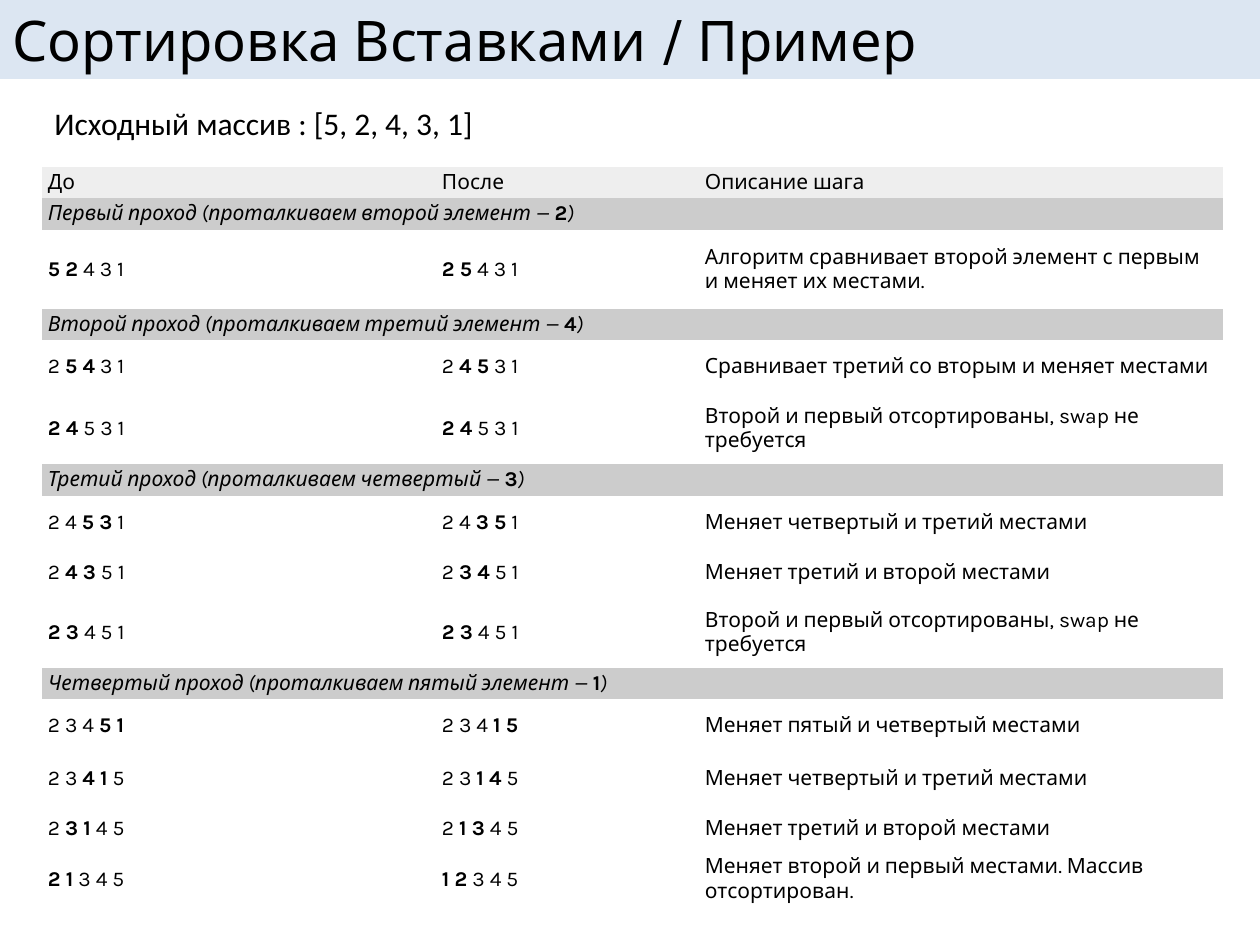
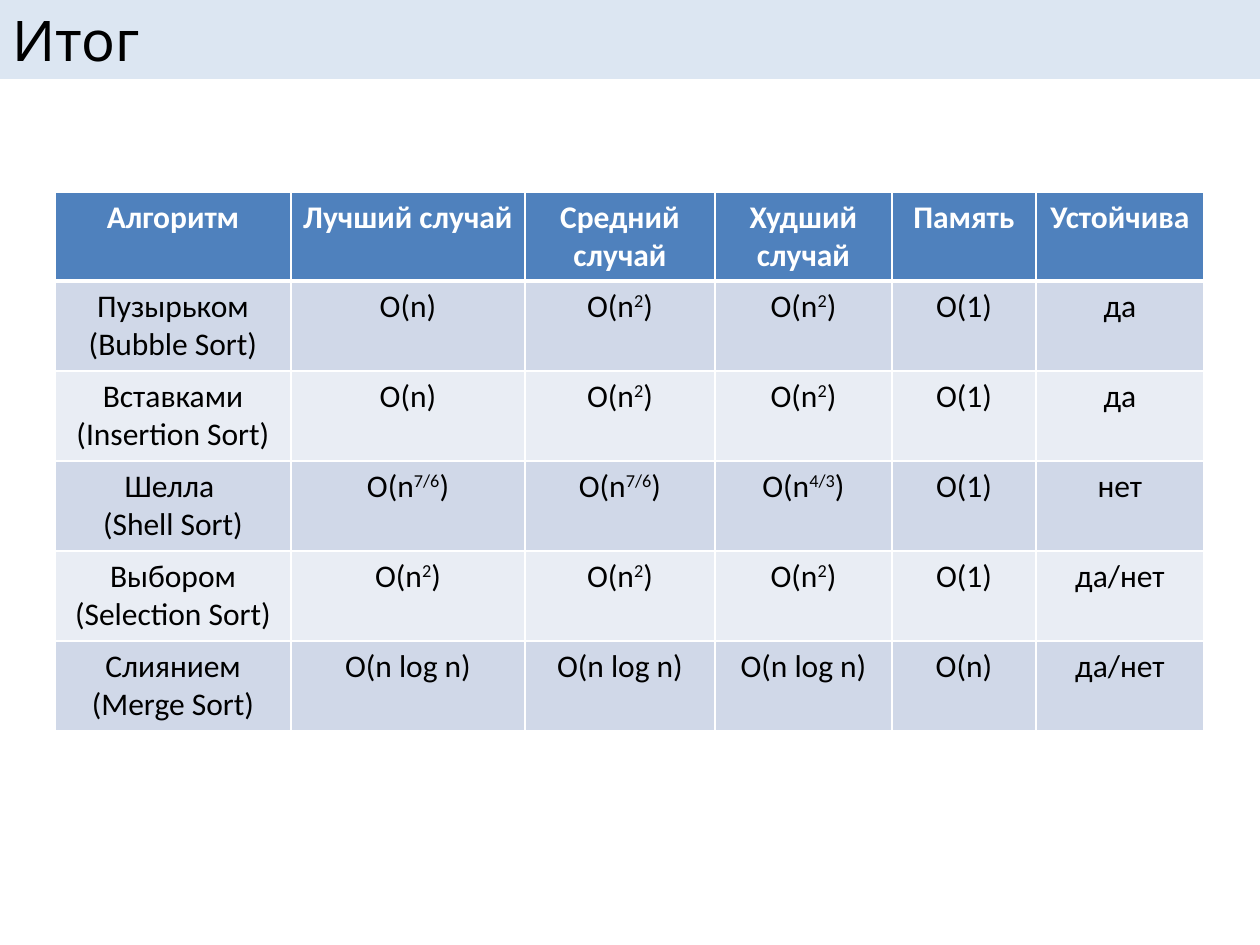
from dataclasses import dataclass

from lxml import etree
from pptx import Presentation
from pptx.dml.color import RGBColor
from pptx.enum.shapes import MSO_SHAPE
from pptx.enum.text import MSO_ANCHOR, PP_ALIGN
from pptx.oxml.ns import qn
from pptx.util import Emu, Pt

RECT = MSO_SHAPE.RECTANGLE
LEFT, CENTER = PP_ALIGN.LEFT, PP_ALIGN.CENTER
TOP, MIDDLE = MSO_ANCHOR.TOP, MSO_ANCHOR.MIDDLE
SCALE = 914400 // 126
WIDE, HIGH = 1260, 945
PLAIN = "{2D5ABB26-0587-4C30-8999-92F81FD0307C}"
GAP = "\u00a0"


@dataclass(frozen=True)
class Theme:
    ink: str = "000000"
    white: str = "FFFFFF"
    band: str = "DCE6F2"
    head: str = "EEEEEE"
    group: str = "CCCCCC"
    blue: str = "4F81BD"
    odd: str = "D0D8E8"
    even: str = "E9EDF4"
    karla: str = "Karla"
    body: str = "Calibri"
    title: int = 32
    text: int = 18
    small: int = 12


THEME = Theme()

PASSES = [
    ("Первый проход (проталкиваем второй элемент —", "2", 32, [
        ("5 2 4 3 1", "2 5 4 3 1", 0, 79,
         "Алгоритм сравнивает второй элемент с первым и меняет их местами."),
    ]),
    ("Второй проход (проталкиваем третий элемент —", "4", 31, [
        ("2 5 4 3 1", "2 4 5 3 1", 1, 53, "Сравнивает третий со вторым и меняет местами"),
        ("2 4 5 3 1", "2 4 5 3 1", 0, 71, "Второй и первый отсортированы, swap не требуется"),
    ]),
    ("Третий проход (проталкиваем четвертый —", "3", 32, [
        ("2 4 5 3 1", "2 4 3 5 1", 2, 53, "Меняет четвертый и третий местами"),
        ("2 4 3 5 1", "2 3 4 5 1", 1, 48, "Меняет третий и второй местами"),
        ("2 3 4 5 1", "2 3 4 5 1", 0, 71, "Второй и первый отсортированы, swap не требуется"),
    ]),
    ("Четвертый проход (проталкиваем пятый элемент —", "1", 31, [
        ("2 3 4 5 1", "2 3 4 1 5", 3, 53, "Меняет пятый и четвертый местами"),
        ("2 3 4 1 5", "2 3 1 4 5", 2, 53, "Меняет четвертый и третий местами"),
        ("2 3 1 4 5", "2 1 3 4 5", 1, 48, "Меняет третий и второй местами"),
        ("2 1 3 4 5", "1 2 3 4 5", 0, 53,
         "Меняет второй и первый местами. Массив отсортирован."),
    ]),
]

HEADS = ["Алгоритм", "Лучший случай", "Средний случай", "Худший случай",
         "Память", "Устойчива"]
SORTS = [
    ("Пузырьком (Bubble Sort)", "O(n)", "O(n^2)", "O(n^2)", "O(1)", "да"),
    ("Вставками (Insertion Sort)", "O(n)", "O(n^2)", "O(n^2)", "O(1)", "да"),
    ("Шелла \n(Shell Sort)", "O(n^7/6)", "O(n^7/6)", "O(n^4/3)", "O(1)", "нет"),
    ("Выбором (Selection Sort)", "O(n^2)", "O(n^2)", "O(n^2)", "O(1)", "да/нет"),
    ("Слиянием\n(Merge Sort)", "O(n log n)", "O(n log n)", "O(n log n)", "O(n)", "да/нет"),
]


def px(num):
    return Emu(num * SCALE)


def box(*nums):
    return [px(num) for num in nums]


def rgb(code):
    return RGBColor.from_string(code)


def paint(item, code):
    item.fill.solid()
    item.fill.fore_color.rgb = rgb(code)


def write(frame, lines, size, font, color=THEME.ink, align=LEFT):
    for num, line in enumerate(lines):
        para = frame.add_paragraph() if num else frame.paragraphs[0]
        para.alignment = align
        for text, style in line:
            run = para.add_run()
            run.text = text
            run.font.size = Pt(size)
            run.font.name = font
            run.font.color.rgb = rgb(color)
            run.font.bold = style == "bold"
            run.font.italic = style == "italic"
            if style == "super":
                run._r.get_or_add_rPr().set("baseline", "30000")


def add_title(slide, text):
    bar = slide.shapes.add_shape(RECT, *box(0, 0, WIDE, 79))
    bar.shadow.inherit = False
    paint(bar, THEME.band)
    bar.line.fill.background()
    bar.text_frame.vertical_anchor = MIDDLE
    write(bar.text_frame, [[(text, "")]], THEME.title, THEME.karla)


def add_note(slide, text, place):
    note = slide.shapes.add_textbox(*box(*place))
    note.text_frame.word_wrap = False
    write(note.text_frame, [[(text, "")]], THEME.text, THEME.body)


def add_grid(slide, left, top, cols, rows):
    place = box(left, top, sum(cols), sum(rows))
    frame = slide.shapes.add_table(len(rows), len(cols), *place)
    for mark in frame.element.iter(qn("a:tableStyleId")):
        mark.text = PLAIN
    table = frame.table
    table.first_row = table.horz_banding = False
    for col, size in zip(table.columns, cols):
        col.width = px(size)
    for row, size in zip(table.rows, rows):
        row.height = px(size)
    return table


def set_edges(cell, top, bottom):
    props = cell._tc.get_or_add_tcPr()
    sides = {"lnL": 1, "lnR": 1, "lnT": top, "lnB": bottom}
    for num, (side, size) in enumerate(sides.items()):
        line = etree.Element(qn("a:" + side), w=str(Pt(size)))
        solid = etree.SubElement(line, qn("a:solidFill"))
        etree.SubElement(solid, qn("a:srgbClr"), val=THEME.white)
        props.insert(num, line)


def set_step(cell, line, fill, inset):
    cell.vertical_anchor = MIDDLE
    cell.margin_left = cell.margin_right = px(6)
    cell.margin_top = cell.margin_bottom = px(inset)
    paint(cell, fill)
    write(cell.text_frame, [line], THEME.small, THEME.karla)


def pair_runs(text, pos):
    start = 2 * pos
    end = start + 3
    runs = [(text[:start].rstrip() + GAP, "")] if pos else []
    runs.append((text[start:end], "bold"))
    if end < len(text):
        runs.append((GAP + text[end:].lstrip(), ""))
    return runs


def power_runs(text):
    base, mark, power = text.partition("^")
    if not mark:
        return [(text, "")]
    return [(base, ""), (power[:-1], "super"), (power[-1], "")]


def add_steps(slide):
    rows = [31]
    for _, _, band, steps in PASSES:
        rows += [band] + [step[3] for step in steps]
    table = add_grid(slide, 42, 167, [394, 263, 524], rows)
    for col, text in enumerate(["До", "После", "Описание шага"]):
        set_step(table.cell(0, col), [(text, "")], THEME.head, 2)
    row = 1
    for name, item, _, steps in PASSES:
        table.cell(row, 0).merge(table.cell(row, 2))
        line = [(name + GAP, "italic"), (item, "bold"), (")", "italic")]
        set_step(table.cell(row, 0), line, THEME.group, 2)
        for old, new, pos, _, text in steps:
            row += 1
            lines = [pair_runs(old, pos), pair_runs(new, pos), [(text, "")]]
            for col, line in enumerate(lines):
                set_step(table.cell(row, col), line, THEME.white, 1)
        row += 1


def add_summary(slide):
    cols = [236, 234, 190, 177, 144, 168]
    table = add_grid(slide, 55, 192, cols, [89] + [90] * len(SORTS))
    for row, texts in enumerate([HEADS] + SORTS):
        fill = THEME.odd if row % 2 else THEME.even
        for col, text in enumerate(texts):
            cell = table.cell(row, col)
            cell.vertical_anchor = TOP
            cell.margin_left = cell.margin_right = px(12)
            if row:
                lines = [power_runs(part) for part in text.split("\n")]
                paint(cell, fill)
            else:
                lines = [[(text, "bold")]]
                paint(cell, THEME.blue)
            color = THEME.ink if row else THEME.white
            write(cell.text_frame, lines, THEME.text, THEME.body, color, CENTER)
            set_edges(cell, 3 if row == 1 else 1, 1 if row else 3)


def main():
    deck = Presentation()
    deck.slide_width, deck.slide_height = box(WIDE, HIGH)
    blank = deck.slide_layouts[6]

    sample = deck.slides.add_slide(blank)
    add_title(sample, "Сортировка Вставками / Пример")
    add_note(sample, "Исходный массив : [5, 2, 4, 3, 1]", (42, 98, 449, 50))
    add_steps(sample)

    total = deck.slides.add_slide(blank)
    add_title(total, "Итог")
    add_summary(total)

    deck.save("out.pptx")


main()
